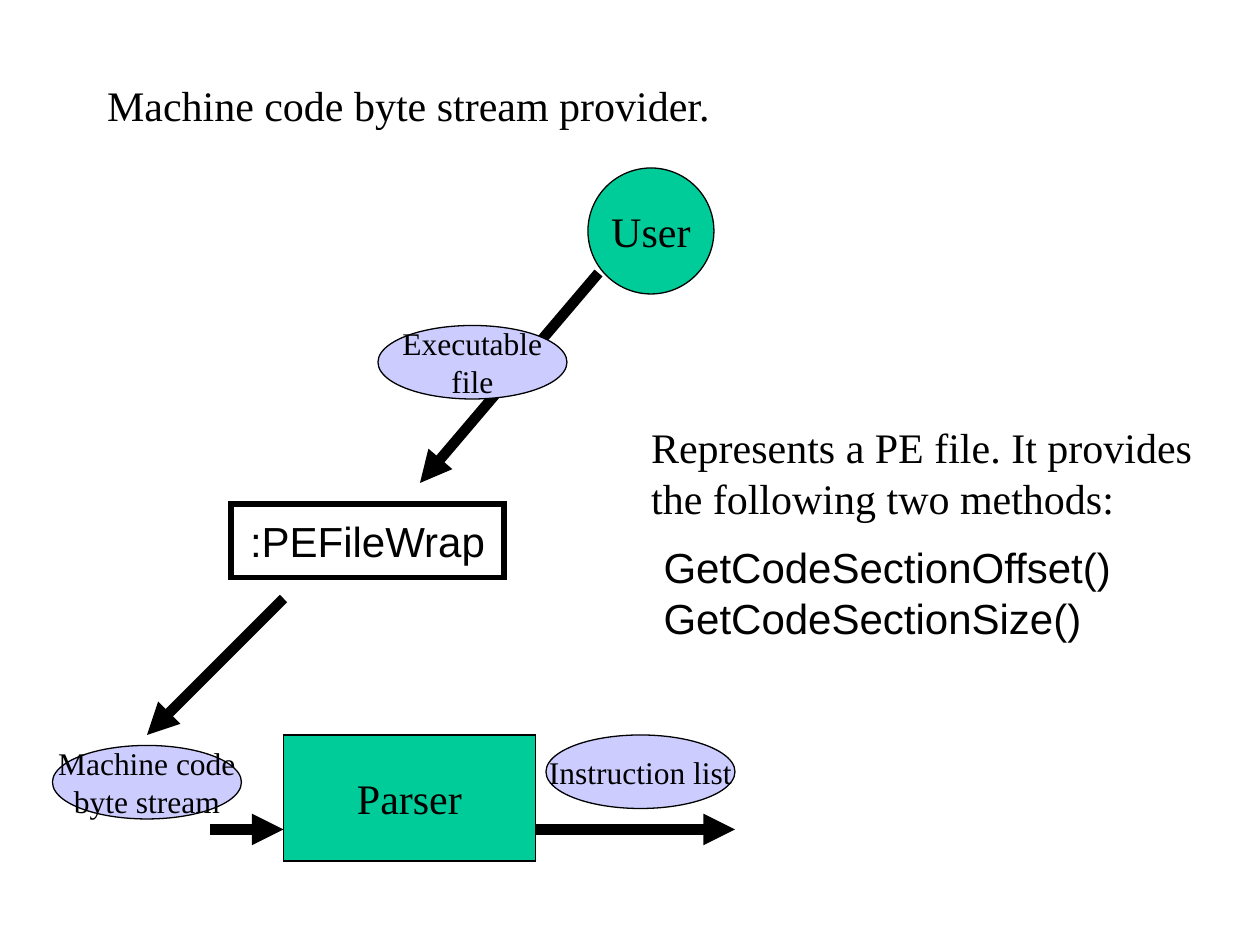
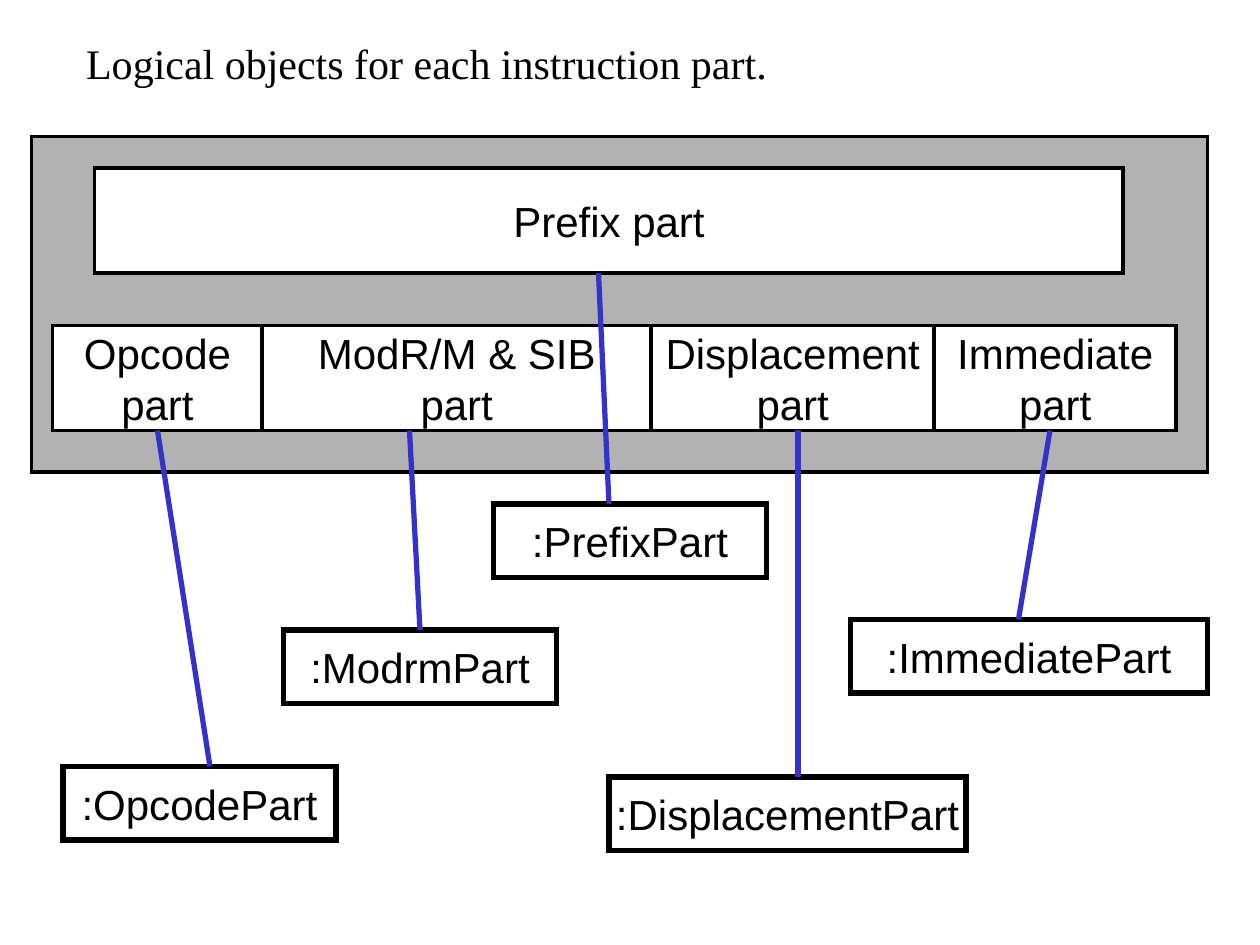
import pptx
import pptx.util
import pptx.dml.color
import pptx.enum.shapes
import pptx.enum.text
import pptx.oxml.ns
import lxml.etree

Pt = pptx.util.Pt
Shapes = pptx.enum.shapes.MSO_SHAPE
Anchor = pptx.enum.text.MSO_ANCHOR
Align = pptx.enum.text.PP_ALIGN

SERIF = "Times New Roman"
SANS = "Arial"
BLACK = "000000"
WHITE = "FFFFFF"
GREEN = "00CC99"
LAVENDER = "CCCCFF"
GREY = "B2B2B2"
BLUE = "3333CC"

BOX_HEIGHT = 42
TOP, BOTTOM = 0, 2


def rgb(value):
    return pptx.dml.color.RGBColor.from_string(value)


def add_element(parent, tag, **attributes):
    return lxml.etree.SubElement(parent, pptx.oxml.ns.qn(tag), attributes)


def place(shape, left, top, width, height):
    shape.left, shape.top = Pt(left), Pt(top)
    shape.width, shape.height = Pt(width), Pt(height)


def write(shape, text, font_name, size=24, alignment=Align.LEFT, anchor=Anchor.TOP, wrap=False):
    frame = shape.text_frame
    frame.text = text
    frame.word_wrap = wrap
    frame.auto_size = pptx.enum.text.MSO_AUTO_SIZE.NONE
    frame.vertical_anchor = anchor
    for paragraph in frame.paragraphs:
        paragraph.alignment = alignment
        for run in paragraph.runs:
            run.font.name = font_name
            run.font.size = Pt(size)
            run.font.color.rgb = rgb(BLACK)


def set_title(slide, text, left, top, width):
    place(slide.shapes.title, left, top, width, 36)
    write(slide.shapes.title, text, SERIF, wrap=True)


def set_list(slide, items, left, top, width, height):
    body = slide.placeholders[1]
    place(body, left, top, width, height)
    write(body, "\n".join(items), SANS, wrap=True)
    for paragraph in body.text_frame.paragraphs:
        paragraph.space_before = Pt(0)
        properties = paragraph._p.get_or_add_pPr()
        properties.set("marL", "0")
        properties.set("indent", "0")
        add_element(properties, "a:buNone")


def add_text(slide, text, left, top, width, height):
    box = slide.shapes.add_textbox(Pt(left), Pt(top), Pt(width), Pt(height))
    write(box, text, SERIF)


def add_box(slide, kind, bounds, fill, line_width, text="", font_name=SANS, size=24):
    shape = slide.shapes.add_shape(kind, *map(Pt, bounds))
    shape.shadow.inherit = False
    shape.fill.solid()
    shape.fill.fore_color.rgb = rgb(fill)
    shape.line.color.rgb = rgb(BLACK)
    shape.line.width = Pt(line_width)
    add_element(shape.line._get_or_add_ln(), "a:miter", lim="800000")
    if text:
        write(shape, text, font_name, size, Align.CENTER, Anchor.MIDDLE)
    return shape


def add_data(slide, text, left, top):
    bounds = (left, top, 108, BOX_HEIGHT)
    add_box(slide, Shapes.OVAL, bounds, LAVENDER, 0.75, text, SERIF, 18)


def add_object(slide, text, left, top, width=156):
    bounds = (left, top, width, BOX_HEIGHT)
    return add_box(slide, Shapes.RECTANGLE, bounds, WHITE, 3, text)


def add_part(slide, text, left, top, width):
    return add_box(slide, Shapes.RECTANGLE, (left, top, width, 60), WHITE, 2.25, text)


def add_line(slide, start, end, color, width):
    straight = pptx.enum.shapes.MSO_CONNECTOR.STRAIGHT
    line = slide.shapes.add_connector(straight, *map(Pt, start + end))
    line.line.color.rgb = rgb(color)
    line.line.width = Pt(width)
    add_element(line._element.spPr, "a:effectLst")
    return line


def add_arrow(slide, start, end):
    arrow = add_line(slide, start, end, BLACK, 6)
    add_element(arrow.line._get_or_add_ln(), "a:tailEnd", type="triangle")


def link(slide, part, target, start_x, end_x):
    start = (start_x, (part.top + part.height) / Pt(1))
    end = (end_x, target.top / Pt(1))
    line = add_line(slide, start, end, BLUE, 3)
    if Pt(start_x) == part.left + part.width // 2:
        line.begin_connect(part, BOTTOM)
    if Pt(end_x) == target.left + target.width // 2:
        line.end_connect(target, TOP)


def build_provider_slide(slide):
    set_title(slide, "Machine code byte stream provider.", 54, 42, 400)
    add_box(slide, Shapes.RECTANGLE, (162, 420, 144, 72), GREEN, 0.75, "Parser", SERIF)
    add_arrow(slide, (120, 474), (162, 474))
    add_arrow(slide, (306, 474), (420, 474))
    add_data(slide, "Instruction list", 312, 420)
    add_data(slide, "Machine code\nbyte stream", 30, 426)
    add_arrow(slide, (162, 342), (84, 420))
    add_box(slide, Shapes.OVAL, (336, 96, 72, 72), GREEN, 0.75, "User", SERIF)
    add_arrow(slide, (342, 156), (240, 276))
    add_data(slide, "Executable\nfile", 216, 186)
    add_object(slide, ":PEFileWrap", 132, 288)
    description = "Represents a PE file. It provides\nthe following two methods:"
    add_text(slide, description, 365, 237.5, 323, 65)
    methods = ["GetCodeSectionOffset()", "GetCodeSectionSize()"]
    set_list(slide, methods, 372, 306, 300, 65)


def build_parts_slide(slide):
    set_title(slide, "Logical objects for each instruction part.", 42, 18, 440)
    add_box(slide, Shapes.RECTANGLE, (18, 78, 672, 192), GREY, 2.25)
    parts = [add_part(slide, "Prefix part", 54, 96, 588)]
    left = 30
    for name, width in (("Opcode", 120), ("ModR/M & SIB", 222),
                        ("Displacement", 162), ("Immediate", 138)):
        parts.append(add_part(slide, f"{name}\npart", left, 186, width))
        left += width
    objects = [
        add_object(slide, ":PrefixPart", 282, 288),
        add_object(slide, ":OpcodePart", 36, 438),
        add_object(slide, ":ModrmPart", 162, 360),
        add_object(slide, ":DisplacementPart", 348, 444, 204),
        add_object(slide, ":ImmediatePart", 486, 354, 204),
    ]
    ends = [(342, 348), (90, 120), (234, 240), (456, 456), (600, 582)]
    for part, target, (start_x, end_x) in zip(parts, objects, ends):
        link(slide, part, target, start_x, end_x)


def main():
    presentation = pptx.Presentation()
    presentation.slide_width = Pt(720)
    presentation.slide_height = Pt(540)
    title_and_body, title_only = (presentation.slide_layouts[i] for i in (1, 5))
    build_provider_slide(presentation.slides.add_slide(title_and_body))
    build_parts_slide(presentation.slides.add_slide(title_only))
    presentation.save("out.pptx")


if __name__ == "__main__":
    main()
